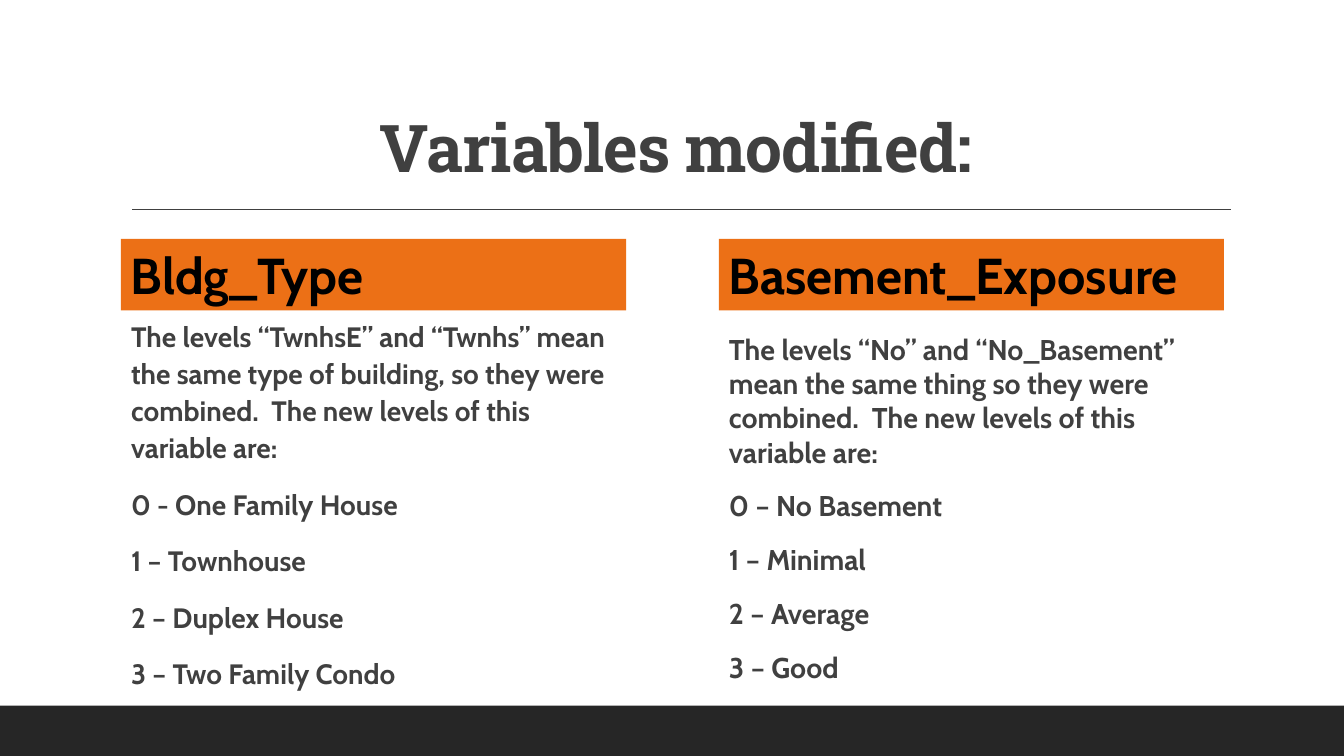
from dataclasses import dataclass

from lxml import etree
from pptx import Presentation
from pptx.dml.color import RGBColor
from pptx.enum.shapes import MSO_CONNECTOR, MSO_SHAPE
from pptx.enum.text import MSO_ANCHOR, MSO_AUTO_SIZE, PP_ALIGN
from pptx.oxml.ns import qn
from pptx.util import Inches, Pt

STRAIGHT = MSO_CONNECTOR.STRAIGHT
RECTANGLE = MSO_SHAPE.RECTANGLE
ANCHOR_TOP = MSO_ANCHOR.TOP
ANCHOR_BOTTOM = MSO_ANCHOR.BOTTOM
NO_AUTOFIT = MSO_AUTO_SIZE.NONE
GROW_SHAPE = MSO_AUTO_SIZE.SHAPE_TO_FIT_TEXT
LEFT = PP_ALIGN.LEFT
CENTER = PP_ALIGN.CENTER

TWO_CONTENT_LAYOUT = 3
SLIDE_WIDTH, SLIDE_HEIGHT = 13.33, 7.5
FOOTER_HEIGHT = 0.5
BODY_BOTTOM = 6.93


@dataclass(frozen=True)
class Theme:
    text: RGBColor = RGBColor(0x40, 0x40, 0x40)
    header_text: RGBColor = RGBColor(0x00, 0x00, 0x00)
    accent: RGBColor = RGBColor(0xEC, 0x70, 0x16)
    footer: RGBColor = RGBColor(0x26, 0x26, 0x26)
    title_font: str = "Roboto Slab"
    body_font: str = "Cabin"
    title_size: float = 47
    header_size: float = 36


@dataclass(frozen=True)
class VariableColumn:
    header: str
    left: float
    body_top: float
    text_size: float
    line_spacing: float
    paragraphs: tuple[str, ...]


THEME = Theme()

COLUMNS = (
    VariableColumn("Bldg_Type", 1.2, 3.09, 20, 1.1, (
        "The levels “TwnhsE” and “Twnhs” mean the same type of building, "
        "so they were combined.  The new levels of this variable are:",
        "0 - One Family House",
        "1 – Townhouse",
        "2 – Duplex House",
        "3 – Two Family Condo",
    )),
    VariableColumn("Basement_Exposure", 7.13, 3.24, 20.4, 1.0, (
        "The levels “No” and “No_Basement” mean the same thing "
        "so they were combined.  The new levels of this variable are:",
        "0 – No Basement",
        "1 – Minimal",
        "2 – Average",
        "3 – Good",
    )),
)


def place(shape, left: float, top: float, width: float, height: float) -> None:
    shape.left, shape.top = Inches(left), Inches(top)
    shape.width, shape.height = Inches(width), Inches(height)


def add_bold_run(paragraph, text: str, font_name: str, size: float, color: RGBColor):
    run = paragraph.add_run()
    run.text = text
    run.font.name = font_name
    run.font.size = Pt(size)
    run.font.bold = True
    run.font.color.rgb = color
    return run


def add_rectangle(slide, left: float, top: float, width: float, height: float,
                  color: RGBColor):
    shape = slide.shapes.add_shape(
        RECTANGLE, Inches(left), Inches(top), Inches(width), Inches(height))
    shape.shadow.inherit = False
    shape.fill.solid()
    shape.fill.fore_color.rgb = color
    shape.line.fill.background()
    return shape


def add_title_rule(slide) -> None:
    rule = slide.shapes.add_connector(
        STRAIGHT, Inches(1.31), Inches(2.08), Inches(12.21), Inches(2.08))
    rule.line.color.rgb = THEME.text
    rule.line.width = Pt(1)
    etree.SubElement(rule._element.spPr, qn("a:effectLst"))


def fill_title(title) -> None:
    place(title, 1.2, 0.31, 11, 1.59)
    frame = title.text_frame
    frame.auto_size = NO_AUTOFIT
    frame.vertical_anchor = ANCHOR_BOTTOM
    paragraph = frame.paragraphs[0]
    paragraph.alignment = CENTER
    paragraph.line_spacing = 0.9
    run = add_bold_run(paragraph, "Variables modified:", THEME.title_font,
                       THEME.title_size, THEME.text)
    run.font._element.set("spc", "-50")


def remove_bullet(paragraph, indent: float) -> None:
    """Drop the list marker and indent every line equally."""
    properties = paragraph._p.get_or_add_pPr()
    properties.set("marL", str(Inches(indent)))
    properties.set("indent", "0")
    etree.SubElement(properties, qn("a:buNone"))


def fill_body(body, column: VariableColumn) -> None:
    place(body, column.left, column.body_top, 5.07, BODY_BOTTOM - column.body_top)
    frame = body.text_frame
    frame.auto_size = NO_AUTOFIT
    frame.vertical_anchor = ANCHOR_TOP
    frame.margin_left = frame.margin_right = 0
    for index, text in enumerate(column.paragraphs):
        paragraph = frame.add_paragraph() if index else frame.paragraphs[0]
        paragraph.line_spacing = column.line_spacing
        paragraph.space_before = Pt(12)
        paragraph.space_after = Pt(2)
        remove_bullet(paragraph, 0.1)
        add_bold_run(paragraph, text, THEME.body_font, column.text_size, THEME.text)


def add_header(slide, column: VariableColumn) -> None:
    header = add_rectangle(slide, column.left, 2.37, 5.01, 0.71, THEME.accent)
    frame = header.text_frame
    frame.word_wrap = True
    frame.auto_size = GROW_SHAPE
    frame.vertical_anchor = ANCHOR_TOP
    paragraph = frame.paragraphs[0]
    paragraph.alignment = LEFT
    add_bold_run(paragraph, column.header, THEME.body_font, THEME.header_size,
                 THEME.header_text)


def main() -> None:
    presentation = Presentation()
    presentation.slide_width = Inches(SLIDE_WIDTH)
    presentation.slide_height = Inches(SLIDE_HEIGHT)
    slide = presentation.slides.add_slide(
        presentation.slide_layouts[TWO_CONTENT_LAYOUT])
    title, *bodies = slide.placeholders

    add_rectangle(slide, 0, SLIDE_HEIGHT - FOOTER_HEIGHT, SLIDE_WIDTH,
                  FOOTER_HEIGHT, THEME.footer)
    add_title_rule(slide)
    fill_title(title)
    for body, column in zip(bodies, COLUMNS):
        fill_body(body, column)
        add_header(slide, column)

    presentation.save("out.pptx")


if __name__ == "__main__":
    main()
